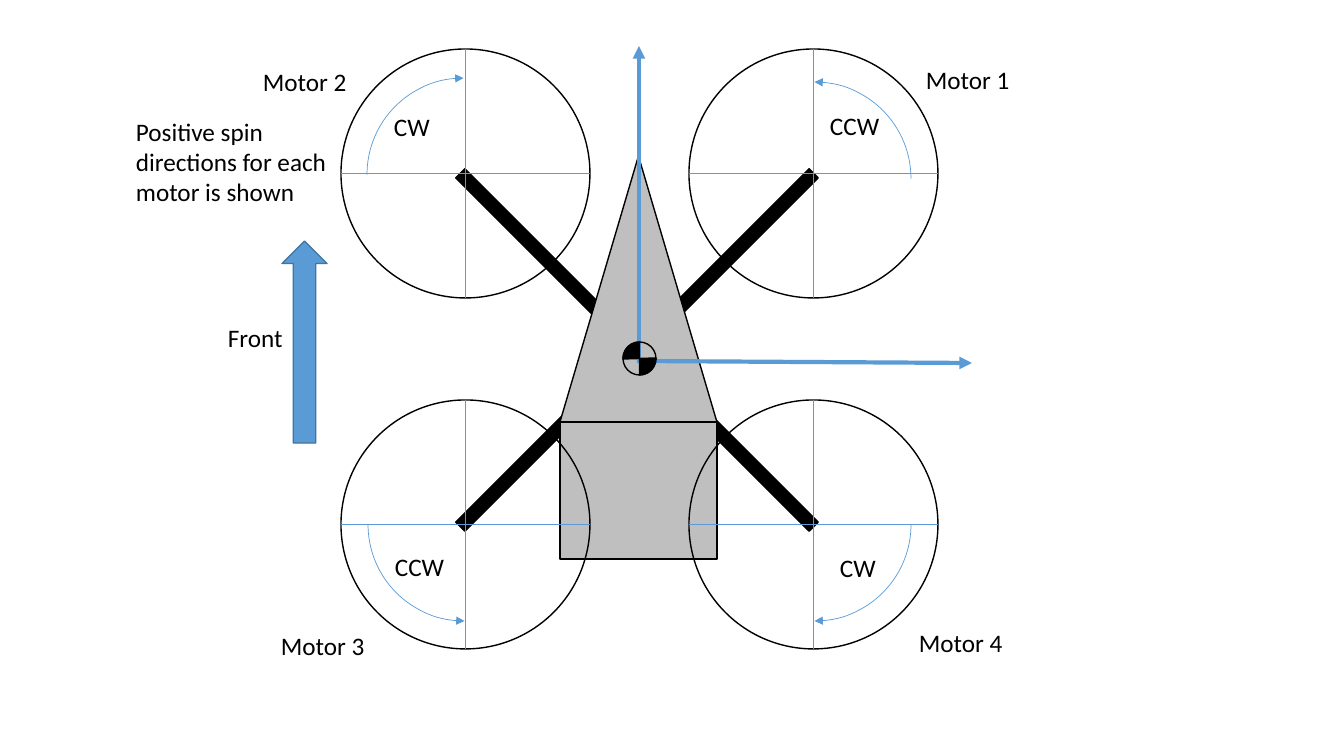
"""Build a quadcopter motor layout slide with spin directions and body axes."""
from dataclasses import dataclass

from lxml import etree
from pptx import Presentation
from pptx import util as u
from pptx.dml.color import RGBColor
from pptx.enum import shapes, text
from pptx.oxml.ns import qn

EMU_PER_PX = 914400 / 100.8


@dataclass(frozen=True)
class Theme:
    ink: str = "000000"
    accent: str = "5B9BD5"
    accent_edge: str = "43739E"
    body: str = "BFBFBF"
    font: str = "Calibri"
    size: int = 18
    hair: float = 0.5
    edge: float = 1
    axis: float = 3


THEME = Theme()
KIND = shapes.MSO_SHAPE

ARMS = (297, 10, 680, 680)
FRONT_ARROW = (282, 241, 45, 202)
ROTOR_SIZE = 249
FRONT_ROTORS = [(689, 49), (341, 49)]
REAR_ROTORS = [(689, 400), (341, 400)]
NOSE = (560, 156, 157, 266)
CABIN = (560, 422, 157, 137)
AXES = [((639, 363), (639, 46)), ((637, 361), (972, 363))]
GRAVITY_CENTRE = (623, 342)
GRAVITY_SIZE = 33
PIE_ANGLES = (106.9, 162)
SPIN_SIZE = 193
SPINS = [
    (718, 82, 0, "headEnd"),
    (368, 428, 180, "headEnd"),
    (367, 78, 270, "tailEnd"),
    (718, 428, 90, "tailEnd"),
]
LABELS = [
    ("Motor 1", 916, 59, 105),
    ("Motor 2", 253, 61, 105),
    ("Motor 3", 271, 625, 105),
    ("Motor 4", 909, 622, 105),
    ("Front", 218, 317, 76),
    ("CCW", 820, 105, 71),
    ("CCW", 385, 546, 71),
    ("CW", 384, 106, 56),
    ("CW", 830, 547, 56),
]
LABEL_HEIGHT = 40
NOTE = ("Positive spin directions for each motor is shown", 126, 111, 231, 102)


def px(value):
    return u.Emu(round(value * EMU_PER_PX))


def rgb(colour):
    return RGBColor.from_string(colour)


def draw_line(line, colour, width, arrow_end=None):
    line.color.rgb = rgb(colour)
    line.width = u.Pt(width)
    if arrow_end:
        etree.SubElement(line._get_or_add_ln(), qn(f"a:{arrow_end}"), type="triangle")


def add_part(slide, kind, box, fill=None, edge=THEME.ink, width=THEME.edge,
             rotation=0, adjustments=(), arrow_end=None):
    part = slide.shapes.add_shape(kind, *map(px, box))
    part.shadow.inherit = False
    part.rotation = rotation
    for index, value in enumerate(adjustments):
        part.adjustments[index] = value
    if fill:
        part.fill.solid()
        part.fill.fore_color.rgb = rgb(fill)
    else:
        part.fill.background()
    draw_line(part.line, edge, width, arrow_end)


def add_stroke(slide, start, end, colour, width, arrow_end=None):
    stroke = slide.shapes.add_connector(
        shapes.MSO_CONNECTOR.STRAIGHT, *map(px, (*start, *end)))
    draw_line(stroke.line, colour, width, arrow_end)
    etree.SubElement(stroke._element.spPr, qn("a:effectLst"))


def add_crossed_circle(slide, left, top, size, cross_colour):
    add_part(slide, KIND.OVAL, (left, top, size, size))
    middle_x, middle_y = left + size / 2, top + size / 2
    add_stroke(slide, (left, middle_y), (left + size, middle_y), cross_colour, THEME.hair)
    add_stroke(slide, (middle_x, top + size), (middle_x, top), cross_colour, THEME.hair)


def add_label(slide, wording, left, top, width, height=LABEL_HEIGHT, wrap=False):
    label = slide.shapes.add_textbox(*map(px, (left, top, width, height)))
    frame = label.text_frame
    frame.text = wording
    frame.word_wrap = wrap
    frame.auto_size = text.MSO_AUTO_SIZE.SHAPE_TO_FIT_TEXT
    font = frame.paragraphs[0].runs[0].font
    font.name = THEME.font
    font.size = u.Pt(THEME.size)
    font.color.rgb = rgb(THEME.ink)


def main():
    deck = Presentation()
    deck.slide_width, deck.slide_height = px(1344), px(756)
    slide = deck.slides.add_slide(deck.slide_layouts[6])

    add_part(slide, KIND.MATH_MULTIPLY, ARMS, THEME.ink, adjustments=(0.019,))
    add_part(slide, KIND.DOWN_ARROW, FRONT_ARROW, THEME.accent, THEME.accent_edge,
             rotation=180)
    for left, top in FRONT_ROTORS:
        add_crossed_circle(slide, left, top, ROTOR_SIZE, THEME.accent)
    add_part(slide, KIND.ISOSCELES_TRIANGLE, NOSE, THEME.body)
    add_part(slide, KIND.RECTANGLE, CABIN, THEME.body)
    for left, top in REAR_ROTORS:
        add_crossed_circle(slide, left, top, ROTOR_SIZE, THEME.accent)

    for start, end in AXES:
        add_stroke(slide, start, end, THEME.accent, THEME.axis, "tailEnd")
    add_crossed_circle(slide, *GRAVITY_CENTRE, GRAVITY_SIZE, THEME.ink)
    for rotation in (0, 180):
        add_part(slide, KIND.PIE, (*GRAVITY_CENTRE, GRAVITY_SIZE, GRAVITY_SIZE),
                 THEME.ink, rotation=rotation, adjustments=PIE_ANGLES)

    for label in LABELS:
        add_label(slide, *label)
    for left, top, rotation, arrow_end in SPINS:
        add_part(slide, KIND.ARC, (left, top, SPIN_SIZE, SPIN_SIZE), edge=THEME.accent,
                 width=THEME.hair, rotation=rotation, arrow_end=arrow_end)
    add_label(slide, *NOTE, wrap=True)

    deck.save("out.pptx")


if __name__ == "__main__":
    main()
